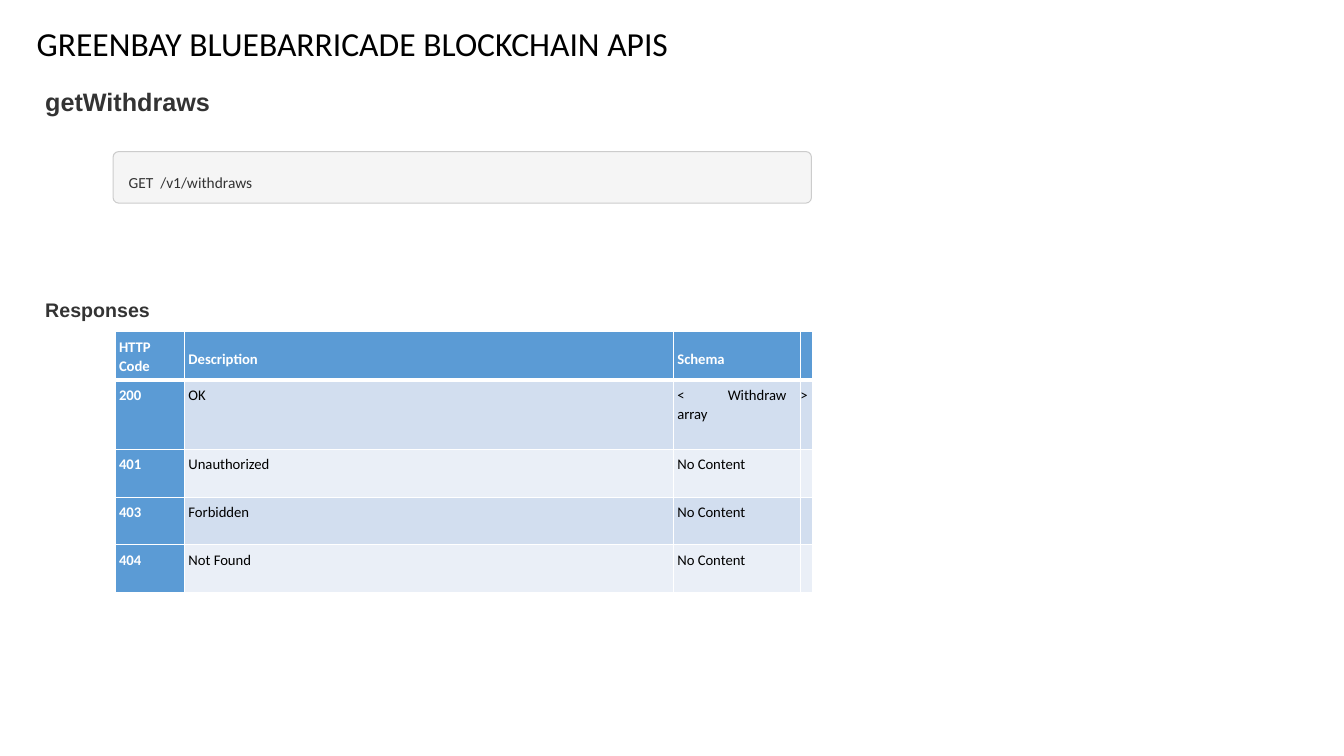
from dataclasses import dataclass

from lxml import etree
from pptx import Presentation
from pptx.dml.color import RGBColor
from pptx.enum.shapes import MSO_SHAPE
from pptx.enum.text import MSO_ANCHOR, MSO_AUTO_SIZE, PP_ALIGN
from pptx.oxml.ns import qn
from pptx.util import Cm, Pt


@dataclass(frozen=True)
class Theme:
    """Colours, fonts and type sizes of the slide."""
    black: str = "000000"
    white: str = "FFFFFF"
    ink: str = "333333"
    panel: str = "F5F5F5"
    panel_line: str = "CCCCCC"
    accent: str = "5B9BD5"
    bands: tuple = ("D2DEEF", "EAEFF7")
    body_font: str = "Calibri"
    heading_font: str = "Arial"
    title_size: float = 24
    method_size: float = 18
    section_size: float = 14
    code_size: float = 11
    table_size: float = 10.5
    line_spacing: float = 1.07


THEME = Theme()

RESPONSES = [
    ("HTTP Code", "Description", "Schema", ""),
    ("200", "OK", "< \tWithdraw array", ">"),
    ("401", "Unauthorized", "No Content", ""),
    ("403", "Forbidden", "No Content", ""),
    ("404", "Not Found", "No Content", ""),
]
COLUMN_WIDTHS = (1.75, 12.32, 3.2, 0.31)
ROW_HEIGHTS = (1.22, 1.75, 1.2, 1.2, 1.2)


def cm_box(box):
    """Turn left, top, width and height in centimetres into lengths."""
    return [Cm(value) for value in box]


def write(frame, text, size, color, font=THEME.body_font, bold=False,
          spacing=THEME.line_spacing):
    """Write one left-aligned, styled paragraph into a text frame."""
    paragraph = frame.paragraphs[0]
    paragraph.alignment = PP_ALIGN.LEFT
    paragraph.line_spacing = spacing
    style = paragraph.font
    if text:
        run = paragraph.add_run()
        run.text = text
        style = run.font
    style.name, style.size, style.bold = font, Pt(size), bold
    style.color.rgb = RGBColor.from_string(color)
    return paragraph


def set_margins(target, left, top, right, bottom):
    """Set the four text margins of a frame or cell, in centimetres."""
    target.margin_left, target.margin_top = Cm(left), Cm(top)
    target.margin_right, target.margin_bottom = Cm(right), Cm(bottom)


def add_title(slide, box, text):
    """Move, format and fill the title placeholder."""
    title = slide.shapes.title
    title.left, title.top, title.width, title.height = cm_box(box)
    frame = title.text_frame
    frame.word_wrap = False
    frame.auto_size = MSO_AUTO_SIZE.NONE
    frame.vertical_anchor = MSO_ANCHOR.TOP
    write(frame, text, THEME.title_size, THEME.black, spacing=1.0)


def add_heading(slide, box, text, size):
    """Add a bold heading in a text box."""
    frame = slide.shapes.add_textbox(*cm_box(box)).text_frame
    frame.word_wrap = True
    write(frame, text, size, THEME.ink, THEME.heading_font, bold=True, spacing=1.0)


def add_endpoint(slide, box, text):
    """Add the rounded panel that holds the request line."""
    panel = slide.shapes.add_shape(MSO_SHAPE.ROUNDED_RECTANGLE, *cm_box(box))
    panel.adjustments[0] = 0.11
    panel.shadow.inherit = False
    panel.fill.solid()
    panel.fill.fore_color.rgb = RGBColor.from_string(THEME.panel)
    panel.line.color.rgb = RGBColor.from_string(THEME.panel_line)
    panel.line.width = Pt(0.75)
    frame = panel.text_frame
    frame.word_wrap = True
    frame.vertical_anchor = MSO_ANCHOR.TOP
    set_margins(frame, 0.35, 0.46, 0, 0)
    write(frame, text, THEME.code_size, THEME.ink)


def set_borders(cell, widths):
    """Give a cell white borders; widths maps each side to points."""
    properties = cell._tc.get_or_add_tcPr()
    for position, side in enumerate(("lnL", "lnR", "lnT", "lnB")):
        line = etree.Element(qn(f"a:{side}"), w=str(Pt(widths[side])))
        fill = etree.SubElement(line, qn("a:solidFill"))
        etree.SubElement(fill, qn("a:srgbClr"), val=THEME.white)
        properties.insert(position, line)


def format_cell(cell, text, row, column):
    """Fill and write one cell according to its row and column."""
    is_key = row == 0 or column == 0
    is_marker = column == len(COLUMN_WIDTHS) - 1
    cell.fill.solid()
    color = THEME.accent if is_key else THEME.bands[(row - 1) % 2]
    cell.fill.fore_color.rgb = RGBColor.from_string(color)
    set_margins(cell, 0 if is_marker else 0.1, 0.13, 0.1, 0)
    centred = row == 0 and column > 0
    cell.vertical_anchor = MSO_ANCHOR.MIDDLE if centred else MSO_ANCHOR.TOP
    write(cell.text_frame, text, THEME.table_size,
          THEME.white if is_key else THEME.black, bold=is_key)
    set_borders(cell, {"lnL": 1, "lnR": 1, "lnT": 3 if row == 1 else 1,
                       "lnB": 3 if row == 0 else 1})


def add_responses(slide, left, top):
    """Add the response table at the given corner."""
    box = (left, top, sum(COLUMN_WIDTHS), sum(ROW_HEIGHTS))
    table = slide.shapes.add_table(len(RESPONSES), len(COLUMN_WIDTHS),
                                   *cm_box(box)).table
    for column, width in zip(table.columns, COLUMN_WIDTHS):
        column.width = Cm(width)
    for row, height in zip(table.rows, ROW_HEIGHTS):
        row.height = Cm(height)
    for r, values in enumerate(RESPONSES):
        for c, text in enumerate(values):
            format_cell(table.cell(r, c), text, r, c)


def build_method_slide(presentation):
    """Build the slide that describes one API method."""
    layout = presentation.slide_layouts.get_by_name("Title Only")
    slide = presentation.slides.add_slide(layout)
    add_title(slide, (0.67, 0.46, 16.56, 1.28),
              "GREENBAY BLUEBARRICADE BLOCKCHAIN APIS")
    add_heading(slide, (0.89, 2.06, 7.62, 1.03), "getWithdraws", THEME.method_size)
    add_endpoint(slide, (2.85, 3.82, 17.6, 1.3), "GET  /v1/withdraws")
    add_heading(slide, (0.89, 7.37, 3.18, 0.89), "Responses", THEME.section_size)
    add_responses(slide, 2.9, 8.36)


def main():
    """Create and save the presentation."""
    presentation = Presentation()
    presentation.slide_width, presentation.slide_height = Cm(33.87), Cm(19.05)
    build_method_slide(presentation)
    presentation.save("out.pptx")


main()
